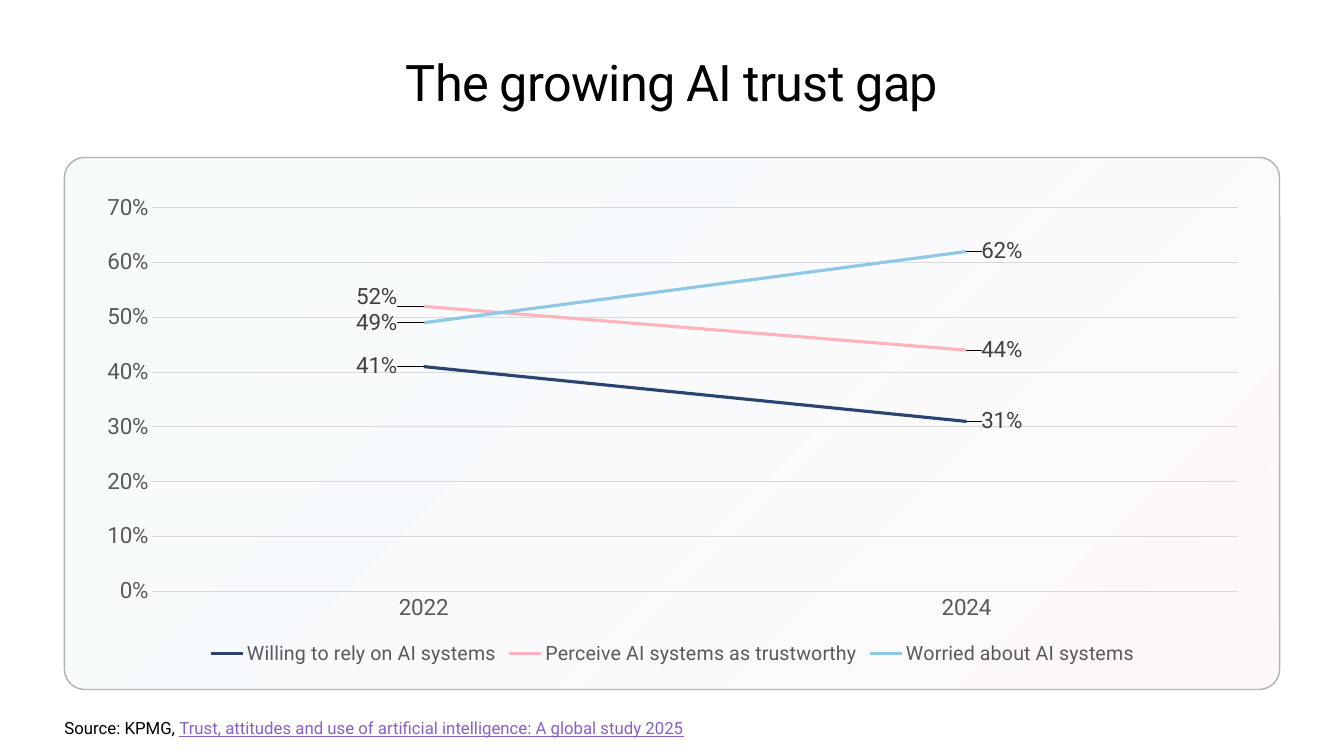
from pptx import Presentation
from pptx.chart.data import CategoryChartData
from pptx.dml.color import RGBColor
from pptx.enum.chart import XL_CHART_TYPE, XL_LABEL_POSITION, XL_LEGEND_POSITION, XL_TICK_MARK
from pptx.enum.shapes import MSO_SHAPE
from pptx.enum.text import MSO_ANCHOR, PP_ALIGN
from pptx.oxml import parse_xml
from pptx.oxml.ns import nsdecls
from pptx.util import Pt

LINE_CHART = XL_CHART_TYPE.LINE
LABEL_CENTER = XL_LABEL_POSITION.CENTER
LEGEND_BOTTOM = XL_LEGEND_POSITION.BOTTOM
NO_TICK = XL_TICK_MARK.NONE
ROUNDED = MSO_SHAPE.ROUNDED_RECTANGLE
MIDDLE, TOP = MSO_ANCHOR.MIDDLE, MSO_ANCHOR.TOP
LEFT, CENTER = PP_ALIGN.LEFT, PP_ALIGN.CENTER

FONT = "Roboto"
BLACK = RGBColor(0x00, 0x00, 0x00)
PURPLE = RGBColor(0x86, 0x61, 0xC5)
PANEL_LINE = RGBColor(0xB1, 0xB3, 0xB3)
GRID = RGBColor(0xD9, 0xD9, 0xD9)
AXIS_TEXT = RGBColor(0x59, 0x59, 0x59)
LABEL_TEXT = RGBColor(0x40, 0x40, 0x40)
NAVY = RGBColor(0x2A, 0x44, 0x6F)
PINK = RGBColor(0xFF, 0xB3, 0xBB)
SKY = RGBColor(0x8D, 0xC8, 0xE8)

TITLE = [("The growing AI trust gap", BLACK, False)]
SOURCE = [
    ("Source: KPMG, ", BLACK, False),
    ("Trust, attitudes and use of artificial intelligence: A global study 2025", PURPLE, True),
]
YEARS = ["2022", "2024"]
SERIES = [
    ("Willing to rely on AI systems", (0.41, 0.31), NAVY, [(-0.04, 0), (0.03, 0)]),
    ("Perceive AI systems as trustworthy", (0.52, 0.44), PINK, [(-0.04, -0.02), (0.03, 0)]),
    ("Worried about AI systems", (0.49, 0.62), SKY, [(-0.04, 0), (0.03, 0)]),
]
PANEL_STOPS = [(0, "FFC6CC"), (80, "A9D5ED")]
PLOT_BOX = {"x": 0.058, "y": 0.046, "w": 0.922, "h": 0.792}
MARGIN, CONTENT_WIDTH = 46, 868


def add_text(slide, runs, top, width, height, size, align=LEFT, anchor=TOP, spacing=0):
    box = slide.shapes.add_textbox(Pt(MARGIN), Pt(top), Pt(width), Pt(height))
    frame = box.text_frame
    frame.word_wrap = True
    frame.vertical_anchor = anchor
    frame.margin_left = frame.margin_right = frame.margin_top = frame.margin_bottom = 0
    paragraph = frame.paragraphs[0]
    paragraph.alignment = align
    for text, color, underline in runs:
        run = paragraph.add_run()
        run.text = text
        set_font(run.font, size, color)
        if underline:
            run.font.underline = True
        if spacing:
            run.font._element.set("spc", str(int(spacing * 100)))


def set_font(font, size, color):
    font.name = FONT
    font.size = Pt(size)
    font.color.rgb = color


def set_line(line, color, width):
    line.color.rgb = color
    line.width = Pt(width)


def layout_xml(values, inner=False):
    target = '<c:layoutTarget val="inner"/>' if inner else ""
    modes = "".join(f'<c:{key}Mode val="edge"/>' for key in "xy") if inner else ""
    numbers = "".join(f'<c:{key} val="{value}"/>' for key, value in values.items())
    return parse_xml(
        f'<c:layout {nsdecls("c")}><c:manualLayout>{target}{modes}{numbers}'
        "</c:manualLayout></c:layout>"
    )


def add_panel(slide):
    panel = slide.shapes.add_shape(ROUNDED, Pt(MARGIN), Pt(112.5), Pt(CONTENT_WIDTH), Pt(380))
    panel.shadow.inherit = False
    panel.adjustments[0] = 0.038
    set_line(panel.line, PANEL_LINE, 1)
    stops = "".join(
        f'<a:gs pos="{position * 1000}"><a:srgbClr val="{color}">'
        '<a:alpha val="10000"/></a:srgbClr></a:gs>'
        for position, color in PANEL_STOPS
    )
    gradient = parse_xml(
        f'<a:gradFill {nsdecls("a")} rotWithShape="1"><a:gsLst>{stops}</a:gsLst>'
        '<a:path path="circle"><a:fillToRect l="100000" t="100000"/></a:path></a:gradFill>'
    )
    panel.element.spPr.find(".//{*}prstGeom").addnext(gradient)


def add_trust_chart(slide):
    data = CategoryChartData(number_format="0%")
    data.categories = YEARS
    for name, values, _, _ in SERIES:
        data.add_series(name, values)
    chart = slide.shapes.add_chart(
        LINE_CHART, Pt(60), Pt(132.5), Pt(841), Pt(346), data
    ).chart
    chart.has_title = False
    set_font(chart.font, 10, BLACK)

    chart.has_legend = True
    chart.legend.position = LEGEND_BOTTOM
    chart.legend.include_in_layout = False
    set_font(chart.legend.font, 14, AXIS_TEXT)

    for axis in (chart.category_axis, chart.value_axis):
        axis.major_tick_mark = axis.minor_tick_mark = NO_TICK
        set_font(axis.tick_labels.font, 16, AXIS_TEXT)
    set_line(chart.category_axis.format.line, GRID, 0.75)
    value_axis = chart.value_axis
    value_axis.minimum_scale, value_axis.maximum_scale = 0, 0.7
    value_axis.major_unit = 0.1
    value_axis.format.line.fill.background()
    value_axis.has_major_gridlines = True
    set_line(value_axis.major_gridlines.format.line, GRID, 0.75)
    value_axis.tick_labels.number_format = "0%"
    value_axis.tick_labels.number_format_is_linked = False

    chart.plots[0].vary_by_categories = False
    offsets = []
    for series, (_, _, color, label_offsets) in zip(chart.plots[0].series, SERIES):
        series.smooth = False
        set_line(series.format.line, color, 2.25)
        for index, offset in enumerate(label_offsets):
            label = series.points[index].data_label
            set_font(label.font, 16, LABEL_TEXT)
            label.position = LABEL_CENTER
            offsets.append(offset)
    for label, (x, y) in zip(chart.element.xpath(".//c:dLbl"), offsets):
        label[0].addnext(layout_xml({"x": x, "y": y}))

    plot_area = chart.element.xpath(".//c:plotArea")[0]
    for layout in plot_area.xpath("./c:layout"):
        plot_area.remove(layout)
    plot_area.insert(0, layout_xml(PLOT_BOX, inner=True))


def main():
    presentation = Presentation()
    presentation.slide_width, presentation.slide_height = Pt(960), Pt(540)
    slide = presentation.slides.add_slide(presentation.slide_layouts[6])
    add_text(slide, TITLE, 36, CONTENT_WIDTH, 44, 36, align=CENTER, anchor=MIDDLE, spacing=-0.5)
    add_panel(slide)
    add_trust_chart(slide)
    add_text(slide, SOURCE, 512.5, 461.5, 14.5, 12)
    presentation.save("out.pptx")


if __name__ == "__main__":
    main()
